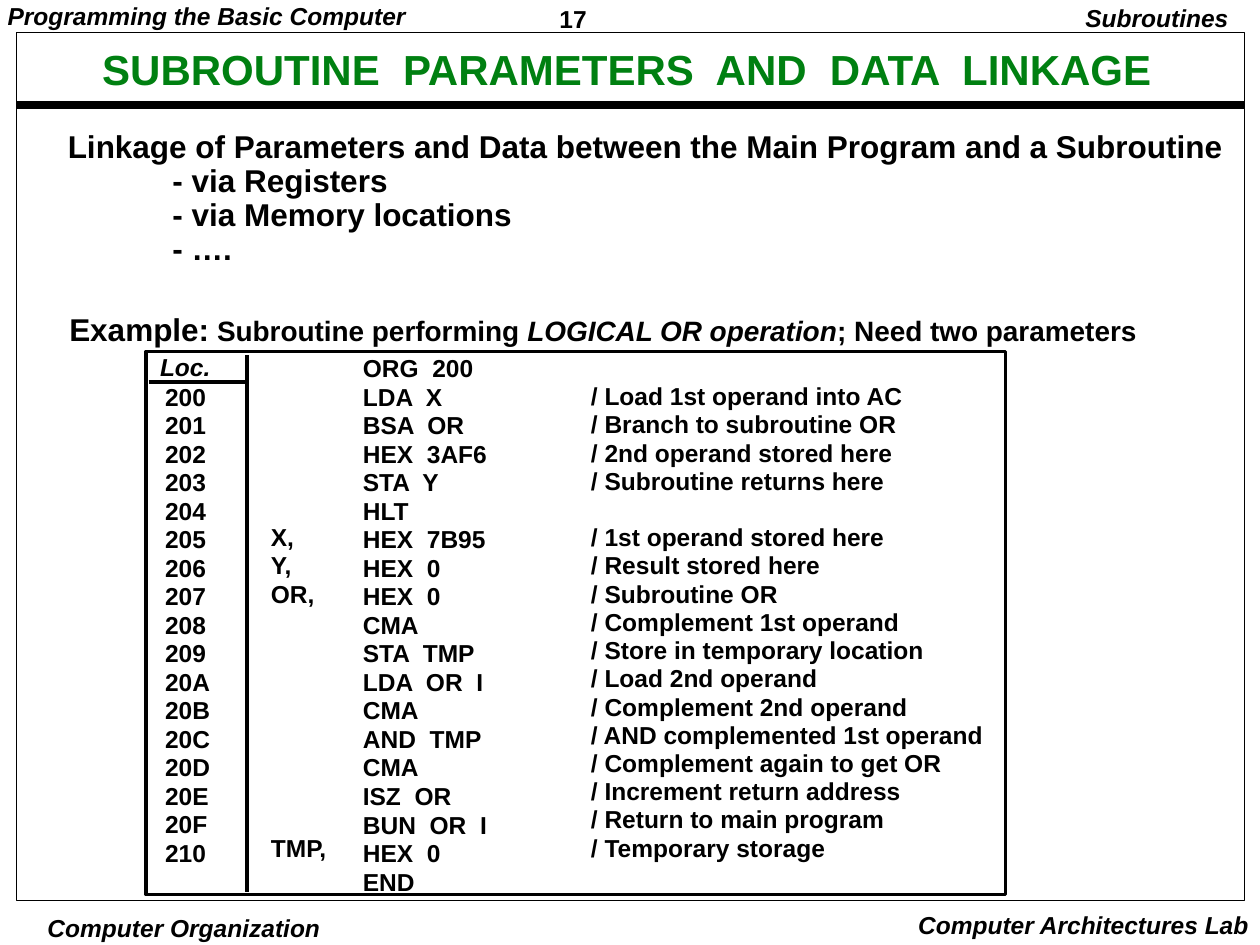
import pptx
import pptx.dml.color
import pptx.enum.shapes
import pptx.enum.text
import pptx.oxml.ns
import pptx.util
from lxml import etree

Inches = pptx.util.Inches
Pt = pptx.util.Pt
ALIGN = pptx.enum.text.PP_ALIGN

COLORS = {"ink": "000000", "title": "008011"}
FONT = "Arial"
LINE_HEIGHT = 1.2
CODE_SIZE = 14
CODE_TOP = 2.78

LISTING = [
    ("", "", "ORG  200", ""),
    ("200", "", "LDA  X", "/ Load 1st operand into AC"),
    ("201", "", "BSA  OR", "/ Branch to subroutine OR"),
    ("202", "", "HEX  3AF6", "/ 2nd operand stored here"),
    ("203", "", "STA  Y", "/ Subroutine returns here"),
    ("204", "", "HLT", ""),
    ("205", "X,", "HEX  7B95", "/ 1st operand stored here"),
    ("206", "Y,", "HEX  0", "/ Result stored here"),
    ("207", "OR,", "HEX  0", "/ Subroutine OR"),
    ("208", "", "CMA", "/ Complement 1st operand"),
    ("209", "", "STA  TMP", "/ Store in temporary location"),
    ("20A", "", "LDA  OR  I", "/ Load 2nd operand"),
    ("20B", "", "CMA", "/ Complement 2nd operand"),
    ("20C", "", "AND  TMP", "/ AND complemented 1st operand"),
    ("20D", "", "CMA", "/ Complement again to get OR"),
    ("20E", "", "ISZ  OR", "/ Increment return address"),
    ("20F", "", "BUN  OR  I", "/ Return to main program"),
    ("210", "TMP,", "HEX  0", "/ Temporary storage"),
    ("", "", "END", ""),
]


def rgb(name):
    return pptx.dml.color.RGBColor.from_string(COLORS[name])


def add_text_frame(slide, left, top, width, height, inset=(0.07, 0.03)):
    frame = slide.shapes.add_textbox(
        Inches(left), Inches(top), Inches(width), Inches(height)).text_frame
    frame.word_wrap = True
    frame.margin_left = frame.margin_right = Inches(inset[0])
    frame.margin_top = frame.margin_bottom = Inches(inset[1])
    return frame


def add_run(paragraph, text, size, italic=False, color="ink"):
    run = paragraph.add_run()
    run.text = text
    run.font.name = FONT
    run.font.size = Pt(size)
    run.font.bold = True
    run.font.italic = italic
    run.font.color.rgb = rgb(color)


def set_pitch(paragraph, size, spacing):
    paragraph.line_spacing = Pt(size * LINE_HEIGHT * spacing)


def add_label(slide, text, box, spacing, size=14, italic=True, align=ALIGN.LEFT,
              inset=(0.07, 0.03), color="ink"):
    frame = add_text_frame(slide, *box, inset=inset)
    paragraph = frame.paragraphs[0]
    paragraph.alignment = align
    set_pitch(paragraph, size, spacing)
    add_run(paragraph, text, size, italic, color)
    return frame


def add_line(slide, start, end, width):
    line = slide.shapes.add_connector(
        pptx.enum.shapes.MSO_CONNECTOR.STRAIGHT,
        Inches(start[0]), Inches(start[1]), Inches(end[0]), Inches(end[1]))
    line.line.color.rgb = rgb("ink")
    line.line.width = Pt(width)
    etree.SubElement(line._element.spPr, pptx.oxml.ns.qn("a:effectLst"))


def add_border(slide, left, top, width, height, weight):
    border = slide.shapes.add_shape(
        pptx.enum.shapes.MSO_SHAPE.RECTANGLE,
        Inches(left), Inches(top), Inches(width), Inches(height))
    border.shadow.inherit = False
    border.fill.background()
    border.line.color.rgb = rgb("ink")
    border.line.width = Pt(weight)


def add_code_column(slide, column, left, width, spacing):
    pitch = CODE_SIZE * LINE_HEIGHT * spacing
    entries = [(row, line[column]) for row, line in enumerate(LISTING) if line[column]]
    first = entries[0][0]
    frame = add_text_frame(slide, left, CODE_TOP + first * pitch / 72, width,
                           (len(LISTING) - first) * pitch / 72)
    previous = first - 1
    for row, text in entries:
        paragraph = frame.paragraphs[0] if row == first else frame.add_paragraph()
        set_pitch(paragraph, CODE_SIZE, spacing)
        paragraph.space_before = Pt((row - previous - 1) * pitch)
        add_run(paragraph, text, CODE_SIZE)
        previous = row


def add_page_frame(slide):
    add_label(slide, "17", (4.37, 0, 1.08, 0.29), 1.01, italic=False)
    add_label(slide, "Programming the Basic Computer", (-0.01, 0, 3.6, 0.27), 0.9)
    add_label(slide, "Subroutines", (8.35, 0, 1.5, 0.31), 0.9,
              align=ALIGN.RIGHT, inset=(0.1, 0.05))
    add_label(slide, "Computer Organization", (0.2, 7.24, 2.52, 0.26), 1,
              align=ALIGN.CENTER, inset=(0.03, 0.01))
    add_label(slide, "Computer Architectures Lab", (6.9, 7.17, 3.11, 0.33), 1,
              align=ALIGN.RIGHT, inset=(0.1, 0.05))
    add_line(slide, (0.13, 0.83), (9.87, 0.83), 4.5)
    add_border(slide, 0.13, 0.26, 9.75, 6.89, 0.5)


def add_linkage(slide):
    frame = add_label(
        slide, "Linkage of Parameters and Data between the Main Program and a Subroutine",
        (0.44, 0.99, 9.5, 1.18), 0.9, size=18, italic=False, inset=(0.1, 0.05))
    for way in ("- via Registers", "- via Memory locations", "- …."):
        paragraph = frame.add_paragraph()
        paragraph._p.get_or_add_pPr().set("marL", str(Inches(0.83)))
        set_pitch(paragraph, 18, 0.9)
        add_run(paragraph, way, 18)


def add_example(slide):
    example = add_label(slide, "Example:", (0.48, 2.44, 9, 0.35), 0.97,
                        size=18, italic=False).paragraphs[0]
    add_run(example, " Subroutine performing ", 16)
    add_run(example, "LOGICAL OR operation", 16, italic=True)
    add_run(example, "; Need two parameters", 16)


def add_listing(slide):
    columns = [(1.24, 0.6, 0.97), (2.08, 0.7, 0.96), (2.81, 1.3, 0.97), (4.62, 3.36, 0.96)]
    for column, (left, width, spacing) in enumerate(columns):
        add_code_column(slide, column, left, width, spacing)
    add_label(slide, "Loc.", (1.2, 2.77, 0.65, 0.28), 0.97)
    add_border(slide, 1.16, 2.79, 6.82, 4.31, 2)
    add_line(slide, (1.96, 2.82), (1.96, 7.08), 2)
    add_line(slide, (1.18, 3.03), (1.95, 3.03), 2)


def main():
    deck = pptx.Presentation()
    deck.slide_width = Inches(10)
    deck.slide_height = Inches(7.5)
    slide = deck.slides.add_slide(deck.slide_layouts[6])
    add_page_frame(slide)
    title = add_label(slide, "SUBROUTINE  PARAMETERS  AND  DATA  LINKAGE",
                      (0.45, 0.37, 9.05, 0.39), 0.9, size=24, italic=False,
                      align=ALIGN.CENTER, color="title")
    title.vertical_anchor = pptx.enum.text.MSO_ANCHOR.MIDDLE
    add_linkage(slide)
    add_example(slide)
    add_listing(slide)
    deck.save("out.pptx")


if __name__ == "__main__":
    main()
